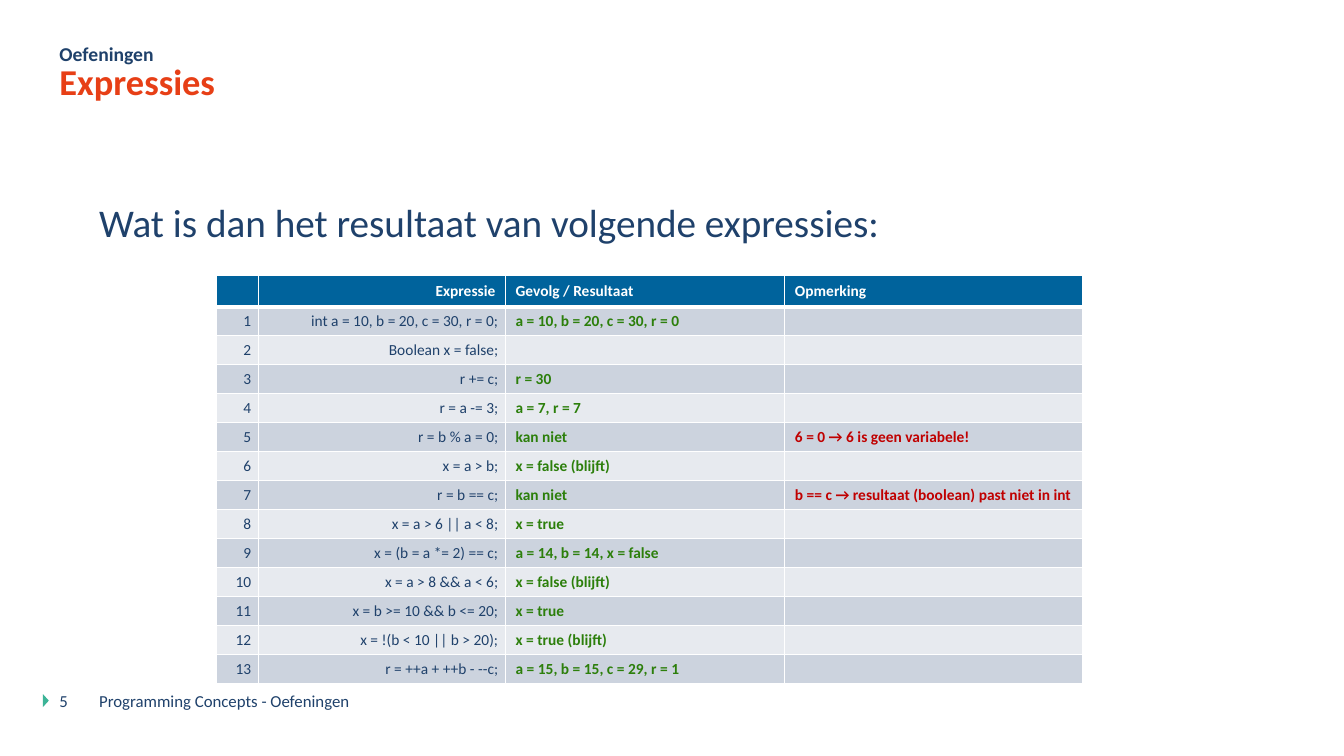
from lxml.etree import SubElement
from pptx import Presentation
from pptx.dml.color import RGBColor
from pptx.enum.shapes import MSO_SHAPE
from pptx.enum.text import MSO_ANCHOR, PP_ALIGN
from pptx.oxml import parse_xml
from pptx.oxml.ns import nsdecls, qn
from pptx.util import Cm, Pt

NAVY = RGBColor(0x1F, 0x41, 0x6B)
ORANGE = RGBColor(0xE7, 0x3F, 0x16)
TEAL = RGBColor(0x3C, 0xB4, 0x97)
BLUE = RGBColor(0x00, 0x63, 0x9C)
GREEN = RGBColor(0x2C, 0x7F, 0x0B)
RED = RGBColor(0xC0, 0x00, 0x00)
WHITE = RGBColor(0xFF, 0xFF, 0xFF)
BANDS = (RGBColor(0xCC, 0xD3, 0xDE), RGBColor(0xE7, 0xEA, 0xEF))
FONT = "Calibri"
TABLE_SIZE = 11

COLUMN_WIDTHS = (1.05, 6.23, 7.04, 7.5)
HEADER_HEIGHT, ROW_HEIGHT = 0.79, 0.73
HEADINGS = ("", "Expressie", "Gevolg / Resultaat", "Opmerking")
EXERCISES = (
    ("int a = 10, b = 20, c = 30, r = 0;", "a = 10, b = 20, c = 30, r = 0", ""),
    ("Boolean x = false;", "", ""),
    ("r += c;", "r = 30", ""),
    ("r = a -= 3;", "a = 7, r = 7", ""),
    ("r = b % a = 0;", "kan niet", "6 = 0 → 6 is geen variabele!"),
    ("x = a > b;", "x = false (blijft)", ""),
    ("r = b == c;", "kan niet", "b == c → resultaat (boolean) past niet in int"),
    ("x = a > 6 || a < 8;", "x = true", ""),
    ("x = (b = a *= 2) == c;", "a = 14, b = 14, x = false", ""),
    ("x = a > 8 && a < 6;", "x = false (blijft)", ""),
    ("x = b >= 10 && b <= 20;", "x = true", ""),
    ("x = !(b < 10 || b > 20);", "x = true (blijft)", ""),
    ("r = ++a + ++b - --c;", "a = 15, b = 15, c = 29, r = 1", ""),
)


def write(paragraph, text, size, color, bold=False):
    run = paragraph.add_run()
    run.text = text
    font_format = {"name": FONT, "size": Pt(size), "bold": bold}
    for attribute, value in font_format.items():
        setattr(run.font, attribute, value)
    run.font.color.rgb = color


def add_text(slide, box, text, size, color, bold=False,
             anchor=MSO_ANCHOR.TOP, line_spacing=None):
    frame = slide.shapes.add_textbox(*map(Cm, box)).text_frame
    frame_format = {"word_wrap": True, "vertical_anchor": anchor,
                    "margin_left": 0, "margin_top": 0,
                    "margin_right": 0, "margin_bottom": 0}
    for attribute, value in frame_format.items():
        setattr(frame, attribute, value)
    paragraph = frame.paragraphs[0]
    paragraph.line_spacing = line_spacing
    write(paragraph, text, size, color, bold)


def add_marker(slide):
    marker = slide.shapes.add_shape(
        MSO_SHAPE.ISOSCELES_TRIANGLE, Cm(0.99), Cm(17.58), Cm(0.33), Cm(0.15))
    marker.rotation = 90
    marker.shadow.inherit = False
    marker.fill.solid()
    marker.fill.fore_color.rgb = TEAL
    marker.line.fill.background()


def set_borders(cell, row):
    widths = {"L": 1, "R": 1, "T": 3 if row == 1 else 1, "B": 3 if row == 0 else 1}
    properties = cell._tc.get_or_add_tcPr()
    for index, (side, width) in enumerate(widths.items()):
        properties.insert(index, parse_xml(
            f'<a:ln{side} {nsdecls("a")} w="{Pt(width)}"><a:solidFill>'
            f'<a:srgbClr val="{WHITE}"/></a:solidFill></a:ln{side}>'))


def fill_cell(cell, row, column, text):
    header = row == 0
    cell.fill.solid()
    cell.fill.fore_color.rgb = BLUE if header else BANDS[(row - 1) % 2]
    set_borders(cell, row)
    cell.vertical_anchor = MSO_ANCHOR.MIDDLE
    paragraph = cell.text_frame.paragraphs[0]
    paragraph.alignment = PP_ALIGN.RIGHT if column < 2 else PP_ALIGN.LEFT
    if column < 2 and not header:
        margins = {"margin_left": Cm(0.18), "margin_right": Cm(0.18),
                   "margin_top": 0, "margin_bottom": 0}
        for attribute, value in margins.items():
            setattr(cell, attribute, value)
    if text:
        color = WHITE if header else (NAVY, NAVY, GREEN, RED)[column]
        write(paragraph, text, TABLE_SIZE, color, header or column >= 2)
    else:
        # An empty cell keeps the row low only with its own text size
        SubElement(paragraph._p, qn("a:endParaRPr"), sz=str(TABLE_SIZE * 100))


def add_exercise_table(slide):
    rows = [HEADINGS] + [(str(number), *exercise)
                         for number, exercise in enumerate(EXERCISES, 1)]
    height = HEADER_HEIGHT + ROW_HEIGHT * len(EXERCISES)
    table = slide.shapes.add_table(
        len(rows), len(HEADINGS), Cm(5.46), Cm(6.94),
        Cm(sum(COLUMN_WIDTHS)), Cm(height)).table
    for column, width in zip(table.columns, COLUMN_WIDTHS):
        column.width = Cm(width)
    for row, texts in enumerate(rows):
        table.rows[row].height = Cm(ROW_HEIGHT if row else HEADER_HEIGHT)
        for column, text in enumerate(texts):
            fill_cell(table.cell(row, column), row, column, text)


def main():
    deck = Presentation()
    deck.slide_width, deck.slide_height = Cm(33.87), Cm(19.05)
    slide = deck.slides.add_slide(deck.slide_layouts[6])

    # Heading
    add_text(slide, (1.5, 1.7, 30.5, 1.9), "Expressies", 26, ORANGE,
             bold=True, line_spacing=0.8)
    add_text(slide, (1.5, 0.64, 30.5, 1.02), "Oefeningen", 14, NAVY,
             bold=True, anchor=MSO_ANCHOR.BOTTOM)

    # Question and answers
    add_text(slide, (2.5, 5, 29.5, 11),
             "Wat is dan het resultaat van volgende expressies:", 28, NAVY)
    add_exercise_table(slide)

    # Footer
    add_marker(slide)
    add_text(slide, (1.5, 17.4, 0.8, 1.02), "5", 12, NAVY)
    add_text(slide, (2.5, 17.4, 11.43, 1.02),
             "Programming Concepts - Oefeningen", 12, NAVY)

    deck.save("out.pptx")


if __name__ == "__main__":
    main()
